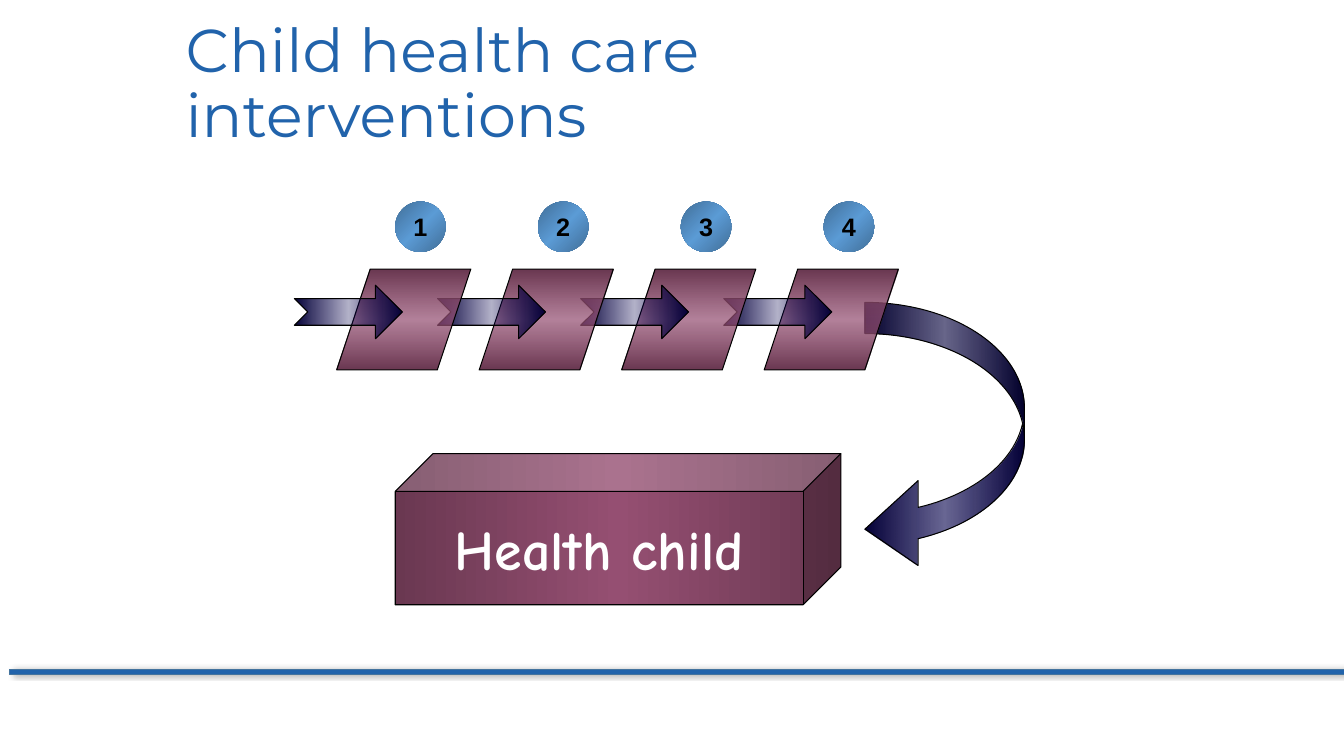
from lxml import etree
from pptx import Presentation
from pptx.dml.color import RGBColor
from pptx.enum.shapes import MSO_SHAPE
from pptx.enum.text import MSO_ANCHOR, MSO_AUTO_SIZE, PP_ALIGN
from pptx.oxml.ns import qn
from pptx.util import Inches, Pt

BLUE, NAVY, PLUM, SKY = "2163AB", "07034D", "954F72", "5B9BD5"
BLACK, WHITE = "000000", "FFFFFF"
EDGE_SHADE = 46275
STEPS = 4


def rgb(value):
    return RGBColor.from_string(value)


def set_font(font, color, **formats):
    for name, value in formats.items():
        setattr(font, name, value)
    font.color.rgb = rgb(color)


def add_color(parent, color, **effects):
    element = etree.SubElement(parent, qn("a:srgbClr"), val=color)
    for effect, value in effects.items():
        etree.SubElement(element, qn(f"a:{effect}"), val=str(value))


def fill_gradient(shape, core, angle, opacity):
    """Fade from a dark edge to the core colour and back."""
    shape.fill.gradient()
    shape.fill.gradient_angle = 360 - angle
    stops = shape._element.spPr.find(f".//{qn('a:gsLst')}")
    for stop in list(stops):
        stops.remove(stop)
    edge = {"shade": EDGE_SHADE}
    middle = {"alpha": opacity * 1000} if opacity < 100 else {}
    for position, effects in ((0, edge), (50, middle), (100, edge)):
        stop = etree.SubElement(stops, qn("a:gs"), pos=str(position * 1000))
        add_color(stop, core, **effects)


def add_preset(slide, kind, box, line=None, width=0.75, adjustments=()):
    shape = slide.shapes.add_shape(kind, *map(Inches, box))
    shape.shadow.inherit = False
    for index, value in enumerate(adjustments):
        shape.adjustments[index] = value
    if line:
        shape.line.color.rgb = rgb(line)
        shape.line.width = Pt(width)
    else:
        shape.line.fill.background()
    return shape


def add_graded(slide, kind, box, core, angle=0, opacity=100, **look):
    shape = add_preset(slide, kind, box, **look)
    fill_gradient(shape, core, angle, opacity)
    return shape


def add_label(shape, text, color, **formats):
    frame = shape.text_frame
    frame.word_wrap = False
    frame.vertical_anchor = MSO_ANCHOR.MIDDLE
    paragraph = frame.paragraphs[0]
    paragraph.text = text
    paragraph.alignment = PP_ALIGN.CENTER
    set_font(paragraph.font, color, **formats)


def add_footer_rule(slide):
    rule = add_preset(slide, MSO_SHAPE.RECTANGLE, (0.09, 6.64, 13.25, 0.05),
                      line="43739E", width=0.5)
    rule.fill.solid()
    rule.fill.fore_color.rgb = rgb(BLUE)
    effects = rule._element.spPr.find(qn("a:effectLst"))
    shadow = etree.SubElement(effects, qn("a:outerShdw"), blurRad=str(Pt(4)),
                              dist=str(Pt(3)), dir="0", rotWithShape="0")
    add_color(shadow, BLACK, alpha=40000)


def add_title(slide, text):
    title = slide.shapes.title
    place = {"left": 1.74, "top": 0.53, "width": 8.78, "height": 0.64}
    for name, value in place.items():
        setattr(title, name, Inches(value))
    frame = title.text_frame
    frame.word_wrap = True
    frame.auto_size = MSO_AUTO_SIZE.NONE
    frame.vertical_anchor = MSO_ANCHOR.MIDDLE
    paragraph = frame.paragraphs[0]
    paragraph.text = text
    paragraph.alignment = PP_ALIGN.LEFT
    paragraph.line_spacing = 0.9
    set_font(paragraph.font, BLUE, name="Montserrat", size=Pt(43.2))


def spread(first, last):
    """Left edges of the steps, evenly spaced."""
    return [first + (last - first) * i / (STEPS - 1) for i in range(STEPS)]


def add_steps(slide):
    panels, arrows = spread(3.34, 7.58), spread(2.92, 7.18)
    # Last step first, so that each panel covers the next arrow's tail
    for panel, arrow in reversed(list(zip(panels, arrows))):
        add_graded(slide, MSO_SHAPE.PARALLELOGRAM, (panel, 2.67, 1.33, 1), PLUM,
                   angle=90, opacity=71, line=BLACK, adjustments=[0.332])
        add_graded(slide, MSO_SHAPE.NOTCHED_RIGHT_ARROW, (arrow, 2.83, 1.07, 0.53),
                   NAVY, opacity=30, line=BLACK, adjustments=[0.5, 0.502])
    for number, left in enumerate(spread(3.92, 8.17), start=1):
        badge = add_graded(slide, MSO_SHAPE.OVAL, (left, 2, 0.5, 0.5), SKY, angle=45)
        add_label(badge, str(number), BLACK, name="Arial", size=Pt(18), bold=True)


def main():
    deck = Presentation()
    deck.slide_width, deck.slide_height = Inches(13.33), Inches(7.5)
    slide = deck.slides.add_slide(deck.slide_layouts[5])

    add_footer_rule(slide)
    add_title(slide, "Child health care interventions")

    # Arrow from the last step round to the result
    add_graded(slide, MSO_SHAPE.CURVED_LEFT_ARROW, (8.58, 3, 1.58, 2.67), NAVY,
               opacity=60, line=BLACK, adjustments=[0.196, 0.533, 0.333])
    add_steps(slide)

    # Result
    result = add_graded(slide, MSO_SHAPE.CUBE, (3.92, 4.5, 4.42, 1.5), PLUM,
                        line=BLACK, adjustments=[0.25])
    add_label(result, "Health child", WHITE, name="Comic Neue", size=Pt(40), bold=True)

    deck.save("out.pptx")


if __name__ == "__main__":
    main()
